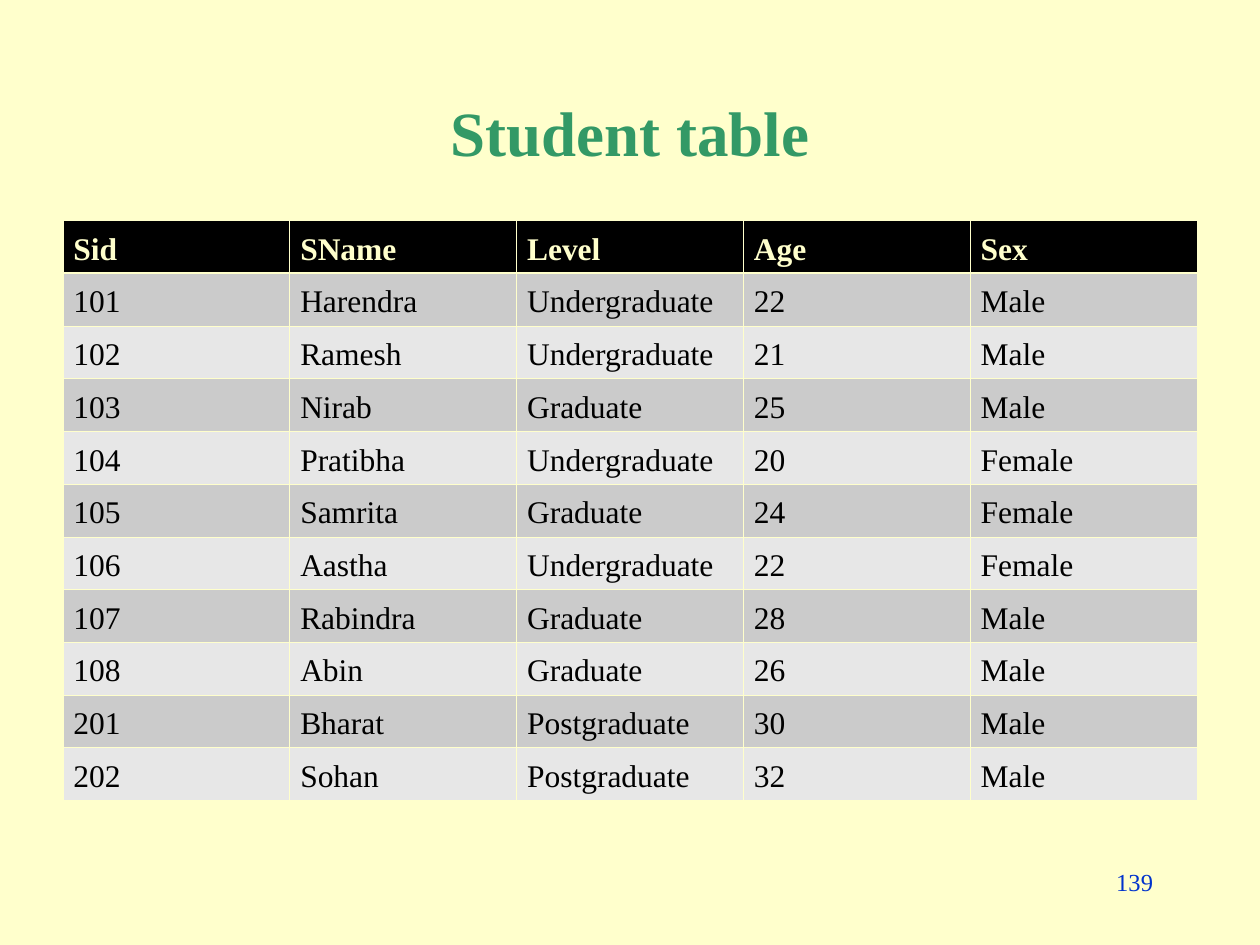
import pptx
import pptx.dml.color
import pptx.enum.text
import pptx.util
from pptx.oxml import parse_xml
from pptx.oxml.ns import nsdecls

PT = pptx.util.Pt
ALIGN = pptx.enum.text.PP_ALIGN
ANCHOR = pptx.enum.text.MSO_ANCHOR

CREAM, BLACK = "FFFFCC", "000000"
BANDS = ("CBCBCB", "E7E7E7")
THIN, THICK = 0.45, 1.47
COLUMN_WIDTH, ROW_HEIGHT = 129.6, 29.2

TITLE_FORMAT = {"name": "Times New Roman", "size": PT(36), "bold": True}
HEADER_FORMAT = {"name": "Times New Roman", "size": PT(18), "bold": True}
RECORD_FORMAT = {"name": "Times New Roman", "size": PT(18), "bold": False}
NUMBER_FORMAT = {"name": "Times New Roman", "size": PT(14), "bold": False}
CELL_MARGINS = {"margin_left": PT(6), "margin_right": PT(6),
                "margin_top": PT(3.6), "margin_bottom": PT(3.6)}

STUDENTS = [
    ("Sid", "SName", "Level", "Age", "Sex"),
    ("101", "Harendra", "Undergraduate", "22", "Male"),
    ("102", "Ramesh", "Undergraduate", "21", "Male"),
    ("103", "Nirab", "Graduate", "25", "Male"),
    ("104", "Pratibha", "Undergraduate", "20", "Female"),
    ("105", "Samrita", "Graduate", "24", "Female"),
    ("106", "Aastha", "Undergraduate", "22", "Female"),
    ("107", "Rabindra", "Graduate", "28", "Male"),
    ("108", "Abin", "Graduate", "26", "Male"),
    ("201", "Bharat", "Postgraduate", "30", "Male"),
    ("202", "Sohan", "Postgraduate", "32", "Male"),
]


def paint(color_format, hex_color):
    color_format.rgb = pptx.dml.color.RGBColor.from_string(hex_color)


def fill_solid(fill, hex_color):
    fill.solid()
    paint(fill.fore_color, hex_color)


def apply_format(target, values):
    for attribute, value in values.items():
        setattr(target, attribute, value)


def write_line(frame, words, font_format, hex_color, align=ALIGN.LEFT):
    line = frame.paragraphs[0]
    line.alignment = align
    run = line.add_run()
    run.text = words
    apply_format(run.font, font_format)
    paint(run.font.color, hex_color)
    return line


def add_title(slide, words):
    title = slide.shapes.title
    apply_format(title, {"left": PT(54), "top": PT(48),
                         "width": PT(612), "height": PT(54)})
    title.text_frame.vertical_anchor = ANCHOR.MIDDLE
    write_line(title.text_frame, words, TITLE_FORMAT, "339966", ALIGN.CENTER)


def rule_cell(cell, top, bottom):
    """Draw the four borders; call before filling, as the schema wants lines first."""
    properties = cell._tc.get_or_add_tcPr()
    for side, width in {"L": THIN, "R": THIN, "T": top, "B": bottom}.items():
        properties.append(parse_xml(
            f'<a:ln{side} {nsdecls("a")} w="{PT(width)}"><a:solidFill>'
            f'<a:srgbClr val="{CREAM}"/></a:solidFill></a:ln{side}>'))


def add_student_table(slide, students):
    rows, columns = len(students), len(students[0])
    table = slide.shapes.add_table(
        rows, columns, PT(36), PT(126),
        PT(COLUMN_WIDTH * columns), PT(ROW_HEIGHT * rows)).table
    for column in table.columns:
        column.width = PT(COLUMN_WIDTH)
    for index, student in enumerate(students):
        table.rows[index].height = PT(ROW_HEIGHT)
        header = index == 0
        for cell, words in zip(table.rows[index].cells, student):
            apply_format(cell, CELL_MARGINS)
            rule_cell(cell, THICK if index == 1 else THIN,
                      THICK if header else THIN)
            fill_solid(cell.fill, BLACK if header else BANDS[(index - 1) % 2])
            line = write_line(cell.text_frame, words,
                              HEADER_FORMAT if header else RECORD_FORMAT,
                              CREAM if header else BLACK)
            line.line_spacing = 1.15


def add_page_number(slide, number):
    box = slide.shapes.add_textbox(PT(516), PT(492), PT(150), PT(36))
    box.text_frame.word_wrap = True
    write_line(box.text_frame, number, NUMBER_FORMAT, "0033CC", ALIGN.RIGHT)


def main():
    deck = pptx.Presentation()
    apply_format(deck, {"slide_width": PT(720), "slide_height": PT(540)})
    slide = deck.slides.add_slide(deck.slide_layouts.get_by_name("Title Only"))
    fill_solid(slide.background.fill, CREAM)
    add_title(slide, "Student table")
    add_student_table(slide, STUDENTS)
    add_page_number(slide, "139")
    deck.save("out.pptx")


if __name__ == "__main__":
    main()
